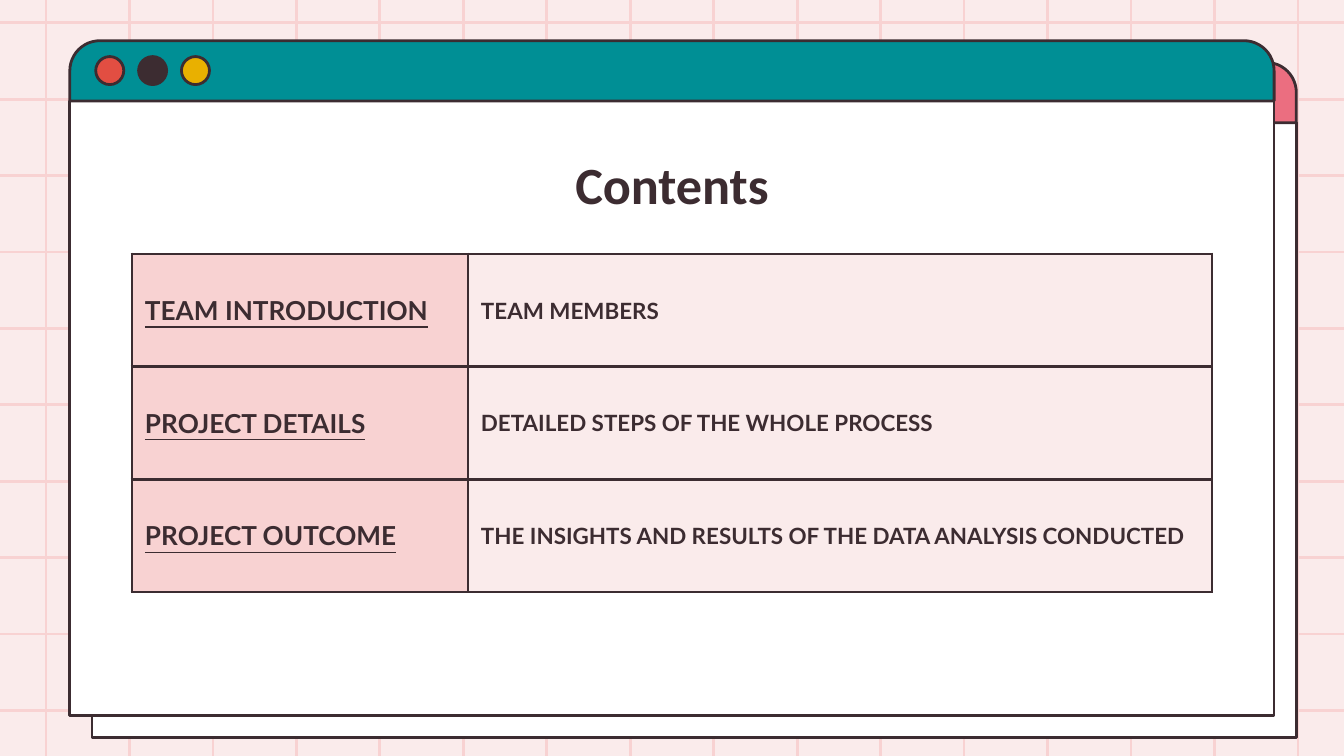
from dataclasses import dataclass
from typing import Any

from lxml.etree import SubElement
from pptx import Presentation
from pptx.dml.color import RGBColor
from pptx.enum.shapes import MSO_CONNECTOR as Connector, MSO_SHAPE as Shape
from pptx.enum.text import MSO_ANCHOR as Anchor, MSO_AUTO_SIZE as AutoSize, PP_ALIGN as Align
from pptx.oxml.ns import qn
from pptx.util import Cm, Pt

INK = RGBColor(0x3C, 0x2C, 0x31)
BLUSH = RGBColor(0xFA, 0xEB, 0xEB)
PINK = RGBColor(0xF8, 0xD2, 0xD2)
ROSE = RGBColor(0xEB, 0x6E, 0x80)
TEAL = RGBColor(0x00, 0x8F, 0x95)
RED = RGBColor(0xE2, 0x4E, 0x42)
YELLOW = RGBColor(0xE9, 0xB0, 0x00)
WHITE = RGBColor(0xFF, 0xFF, 0xFF)

WIDTH, HEIGHT = 25.4, 14.29
STROKE = Pt(1.5)
WINDOW_WIDTH, BAR_HEIGHT, BODY_HEIGHT = 22.76, 1.14, 11.62
DOT_SIZE, DOT_PITCH = 0.53, 0.81

TITLE_FONT = {"name": "Calibri", "size": Pt(28), "bold": True}
TOPIC_FONT = {"name": "Lato", "size": Pt(14), "bold": True, "underline": True}
DETAIL_FONT = {"name": "Lato", "size": Pt(12), "bold": True, "underline": False}
CELL_FORMAT = {
    "vertical_anchor": Anchor.MIDDLE,
    "margin_left": Cm(0.25), "margin_right": Cm(0.25),
    "margin_top": 0, "margin_bottom": 0,
}
TITLE_FRAME = {
    "word_wrap": True, "auto_size": AutoSize.NONE, "vertical_anchor": Anchor.TOP,
    "margin_left": Cm(0.25), "margin_right": Cm(0.25),
    "margin_top": Cm(0.25), "margin_bottom": Cm(0.25),
}


@dataclass(frozen=True)
class Window:
    left: float
    top: float
    bar_color: RGBColor


@dataclass(frozen=True)
class Entry:
    topic: str
    detail: str


@dataclass(frozen=True)
class Column:
    width: float
    fill: RGBColor
    font: dict[str, Any]
    space_after: int


WINDOWS = [Window(1.74, 1.18, ROSE), Window(1.32, 0.77, TEAL)]
ENTRIES = [
    Entry("TEAM INTRODUCTION", "TEAM MEMBERS"),
    Entry("PROJECT DETAILS", "DETAILED STEPS OF THE WHOLE PROCESS"),
    Entry("PROJECT OUTCOME", "THE INSIGHTS AND RESULTS OF THE DATA ANALYSIS CONDUCTED"),
]
COLUMNS = [Column(6.35, PINK, TOPIC_FONT, 0), Column(14.07, BLUSH, DETAIL_FONT, 16)]


def apply_format(target: Any, values: dict[str, Any]) -> None:
    for name, value in values.items():
        setattr(target, name, value)


def spread(first: float, last: float, count: int) -> list[float]:
    return [first + (last - first) * index / (count - 1) for index in range(count)]


def write(frame: Any, text: str, font: dict[str, Any]) -> Any:
    para = frame.paragraphs[0]
    span = para.add_run()
    span.text = text
    apply_format(span.font, font)
    span.font.color.rgb = INK
    return para


def draw_line(page: Any, x1: float, y1: float, x2: float, y2: float) -> None:
    line = page.shapes.add_connector(Connector.STRAIGHT, Cm(x1), Cm(y1), Cm(x2), Cm(y2))
    line.line.color.rgb = PINK
    line.line.width = STROKE
    SubElement(line._element.spPr, qn("a:effectLst"))


def draw_grid(page: Any) -> None:
    for x in spread(0.87, 24.53, 16):
        draw_line(page, x, 0, x, HEIGHT)
    for y in spread(0.43, 13.43, 10):
        draw_line(page, 0, y, WIDTH, y)


def draw_shape(page: Any, kind: Shape, left: float, top: float,
               width: float, height: float, fill: RGBColor) -> Any:
    shape = page.shapes.add_shape(kind, Cm(left), Cm(top), Cm(width), Cm(height))
    shape.shadow.inherit = False
    shape.fill.solid()
    shape.fill.fore_color.rgb = fill
    shape.line.color.rgb = INK
    shape.line.width = STROKE
    return shape


def draw_window(page: Any, window: Window) -> None:
    left, top = window.left, window.top
    draw_shape(page, Shape.RECTANGLE, left, top + BAR_HEIGHT, WINDOW_WIDTH, BODY_HEIGHT, WHITE)
    bar = draw_shape(page, Shape.ROUND_2_SAME_RECTANGLE, left, top,
                     WINDOW_WIDTH, BAR_HEIGHT, window.bar_color)
    bar.adjustments[0] = 0.5
    for index, color in enumerate([RED, INK, YELLOW]):
        draw_shape(page, Shape.OVAL, left + 0.49 + index * DOT_PITCH, top + 0.3,
                   DOT_SIZE, DOT_SIZE, color)


def draw_borders(cell: Any) -> None:
    properties = cell._tc.get_or_add_tcPr()
    for position, side in enumerate(["a:lnL", "a:lnR", "a:lnT", "a:lnB"]):
        border = SubElement(properties, qn(side), w=str(int(STROKE)))
        properties.insert(position, border)
        fill = SubElement(border, qn("a:solidFill"))
        SubElement(fill, qn("a:srgbClr"), val=str(INK))


def draw_contents(page: Any) -> None:
    width = sum(column.width for column in COLUMNS)
    table = page.shapes.add_table(len(ENTRIES), len(COLUMNS), Cm(2.49), Cm(4.8),
                                  Cm(width), Cm(6.39)).table
    table.first_row = table.horz_banding = False
    for index, column in enumerate(COLUMNS):
        table.columns[index].width = Cm(column.width)
    for row, entry in enumerate(ENTRIES):
        for index, (column, text) in enumerate(zip(COLUMNS, [entry.topic, entry.detail])):
            cell = table.cell(row, index)
            apply_format(cell, CELL_FORMAT)
            cell.fill.solid()
            cell.fill.fore_color.rgb = column.fill
            draw_borders(cell)
            para = write(cell.text_frame, text, column.font)
            para.space_after = Pt(column.space_after)


def draw_title(page: Any) -> None:
    title = page.shapes.title
    apply_format(title, {"left": Cm(2.49), "top": Cm(2.62), "width": Cm(20.42), "height": Cm(1.6)})
    apply_format(title.text_frame, TITLE_FRAME)
    write(title.text_frame, "Contents", TITLE_FONT).alignment = Align.CENTER
    page.shapes._spTree.append(title._element)


def main() -> None:
    deck = Presentation()
    deck.slide_width, deck.slide_height = Cm(WIDTH), Cm(HEIGHT)
    page = deck.slides.add_slide(deck.slide_layouts[5])
    page.background.fill.solid()
    page.background.fill.fore_color.rgb = BLUSH
    draw_grid(page)
    for window in WINDOWS:
        draw_window(page, window)
    draw_title(page)
    draw_contents(page)
    deck.save("out.pptx")


if __name__ == "__main__":
    main()
